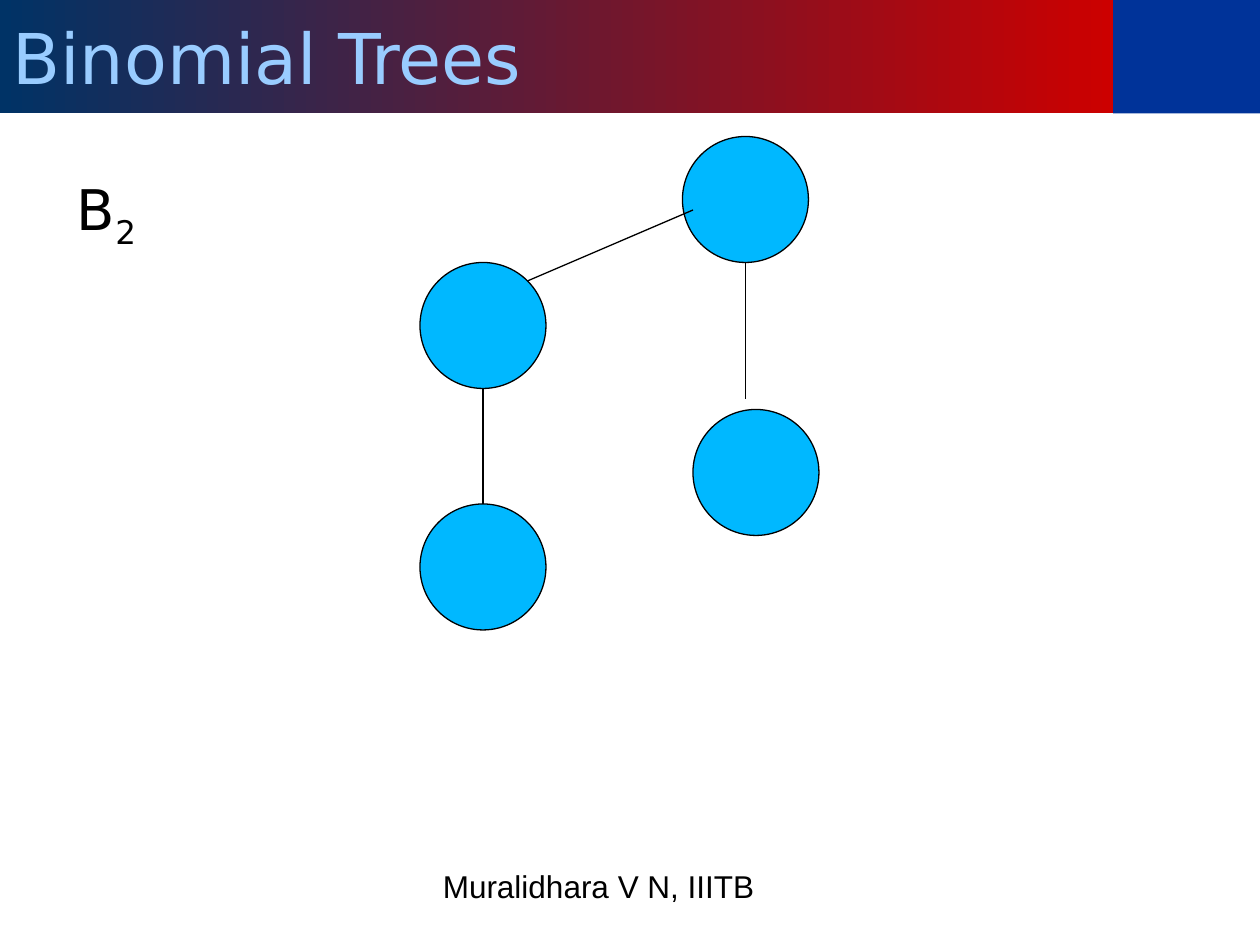
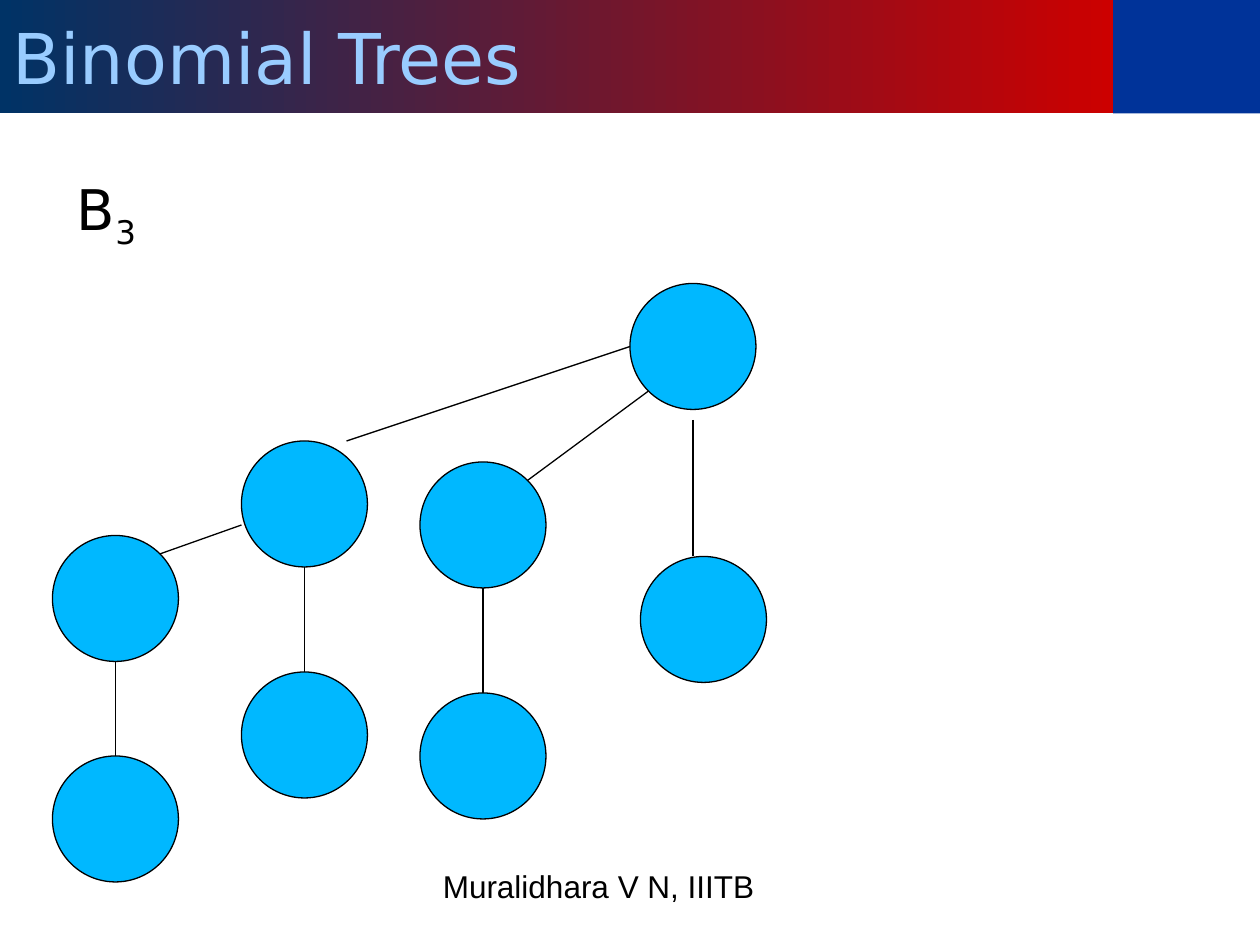
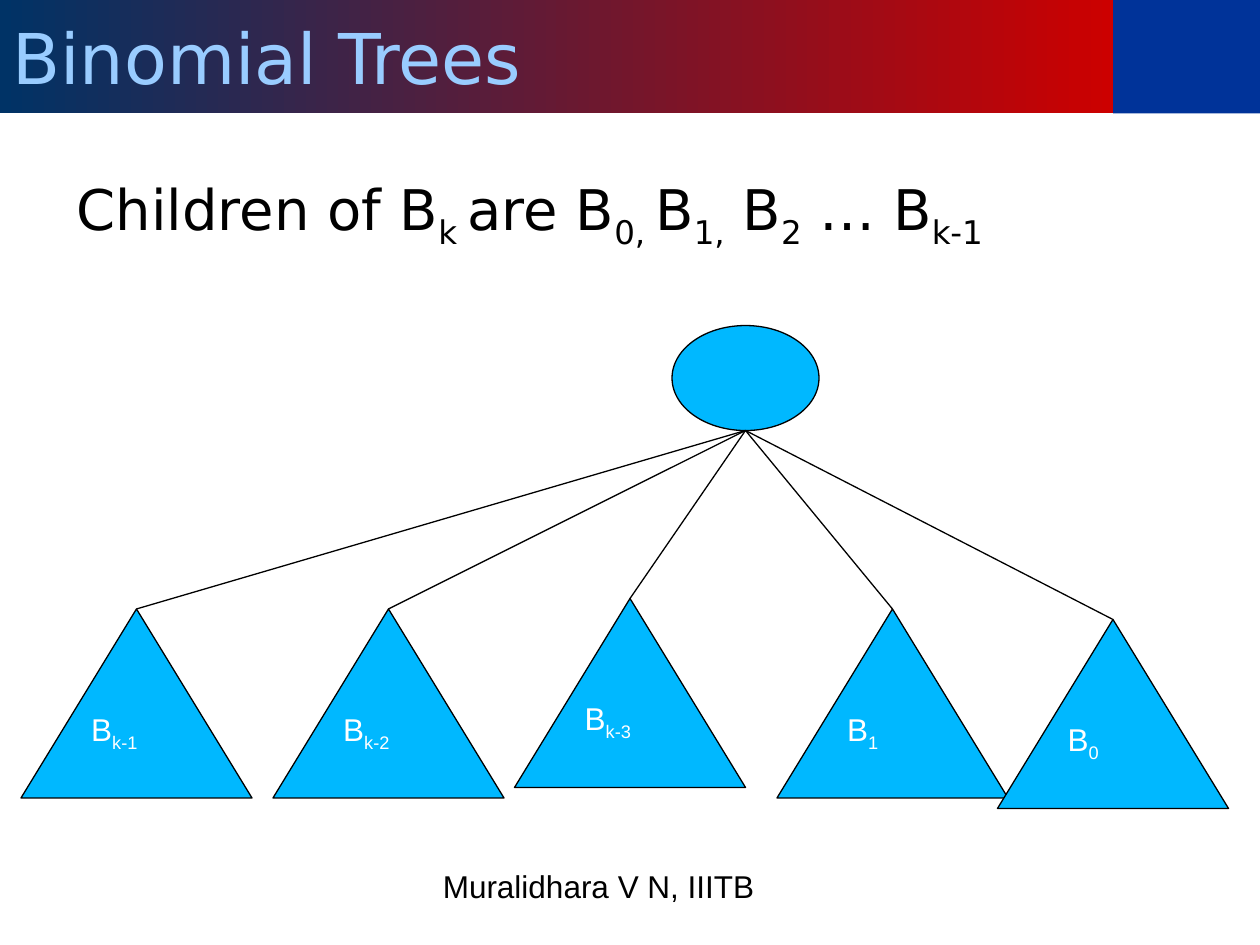
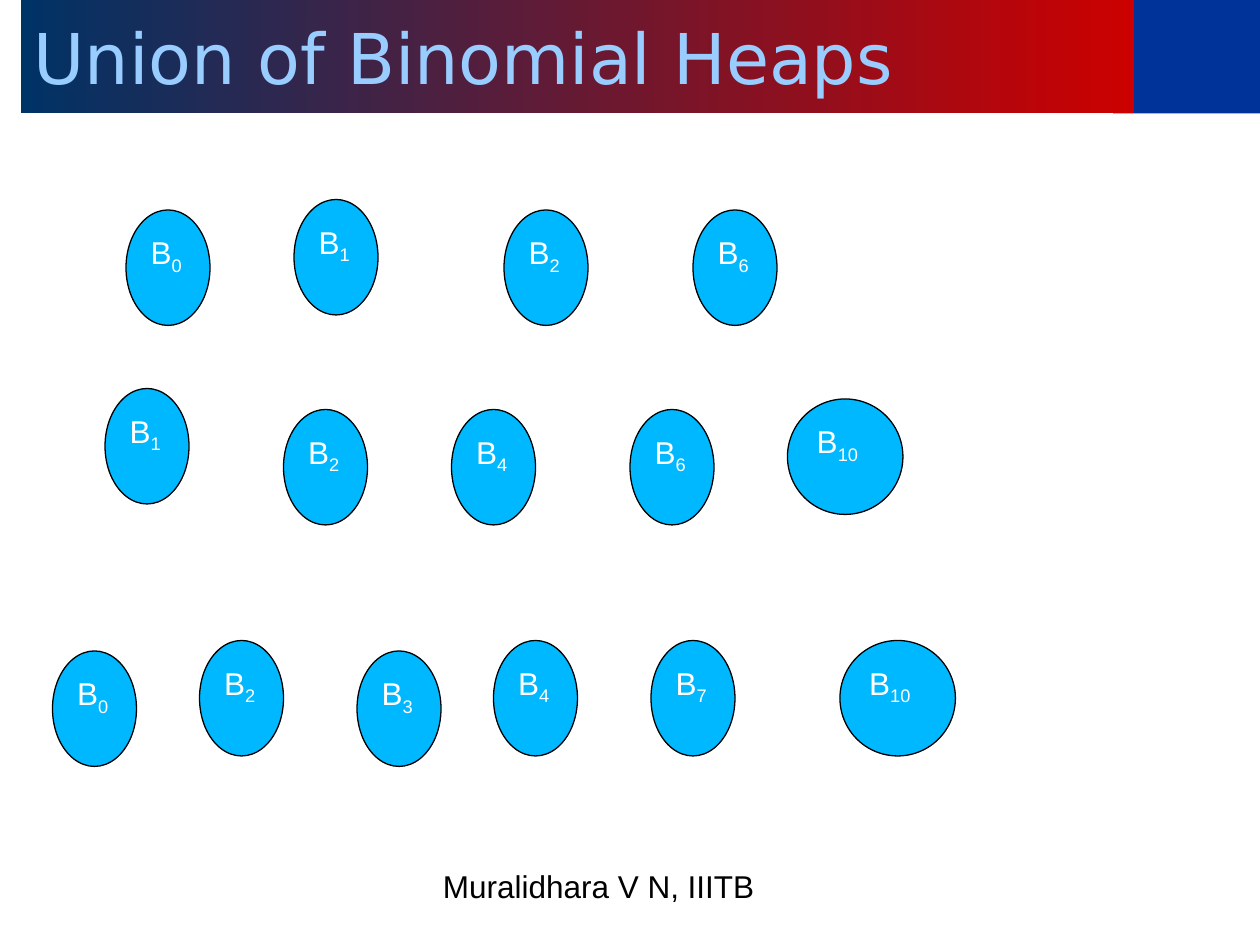
from dataclasses import dataclass
from lxml import etree
from pptx import Presentation
from pptx import util as u
from pptx.dml import color
from pptx.enum import shapes, text
from pptx.oxml import ns


@dataclass(frozen=True)
class Theme:
    corner: str = "003399"
    band_right: str = "CC0000"
    band_left: str = "003366"
    title: str = "99CCFF"
    ink: str = "000000"
    node: str = "00B8FF"
    label: str = "FFFFFF"
    heading_font: str = "DejaVu Sans"
    plain_font: str = "Arial"
    title_size: int = 40
    body_size: int = 32
    small_size: int = 18
    line_width: float = 0.75


theme = Theme()
rgb = color.RGBColor.from_string
OVAL = shapes.MSO_SHAPE.OVAL
TRIANGLE = shapes.MSO_SHAPE.ISOSCELES_TRIANGLE

prs = Presentation()
prs.slide_width, prs.slide_height = u.Inches(10), u.Inches(7.5)
COLUMNS = 120
cell = prs.slide_width / COLUMNS


def grid(*cells):
    return [round(n * cell) for n in cells]


def write(paragraph, parts, font, size, ink):
    for index, part in enumerate(parts):
        run = paragraph.add_run()
        run.text = part
        run.font.name = font
        run.font.size = u.Pt(size)
        run.font.color.rgb = rgb(ink)
        if index % 2:
            run.font._element.set("baseline", "-25000")


LINE_OF_CHILDREN = ["Children of B", "k ", "are B", "0, ", "B", "1,", " B", "2", " … B", "k-1 "]

pages = [
    dict(
        title="Binomial Trees", title_column=0, body=["B", "2"],
        nodes=[(OVAL, col, row, 12, 12, None)
               for col, row in [(40, 25), (40, 48), (65, 13), (66, 39)]],
        edges=[(46, 37, 46, 48), (71, 25, 71, 38), (50.25, 26.75, 66, 20)],
    ),
    dict(
        title="Binomial Trees", title_column=0, body=["B", "3"],
        nodes=[(OVAL, col, row, 12, 12, None)
               for col, row in [(40, 44), (40, 66), (60, 27), (61, 53),
                                (23, 42), (23, 64), (5, 51), (5, 72)]],
        edges=[(46, 56, 46, 66), (66, 40, 66, 53), (50.25, 45.75, 61.75, 37.25),
               (33, 42, 60, 33), (29, 54, 29, 64), (11, 63, 11, 72),
               (15.25, 52.75, 23, 50)],
    ),
    dict(
        title="Binomial Trees", title_column=0, body=LINE_OF_CHILDREN,
        nodes=[(TRIANGLE, col, row, 22, 18, order)
               for col, row, order in [(26, 58, "k-2"), (49, 57, "k-3"), (2, 58, "k-1"),
                                       (74, 58, "1"), (95, 59, "0")]]
        + [(OVAL, 64, 31, 14, 10, None)],
        edges=[(col, row, 71, 41)
               for col, row in [(13, 58), (37, 58), (60, 57), (85, 58), (106, 59)]],
    ),
    dict(
        title="Union of Binomial Heaps", title_column=2, body=None,
        nodes=[(OVAL, col, row, 11 if order == "10" else 8, 11, order)
               for col, row, order in [
                   (12, 20, "0"), (28, 19, "1"), (48, 20, "2"), (66, 20, "6"),
                   (10, 37, "1"), (27, 39, "2"), (43, 39, "4"), (60, 39, "6"), (75, 38, "10"),
                   (5, 62, "0"), (19, 61, "2"), (34, 62, "3"), (47, 61, "4"),
                   (62, 61, "7"), (80, 61, "10")]],
        edges=[],
    ),
]

for page in pages:
    layout = prs.slide_layouts[1 if page["body"] else 5]
    slide = prs.slides.add_slide(layout)

    title = slide.shapes.title
    title.left, title.top, title.width, title.height = grid(page["title_column"], 0, 106, 10.8)
    title.fill.gradient()
    title.fill.gradient_angle = 180
    for stop, shade in zip(title.fill.gradient_stops, (theme.band_right, theme.band_left)):
        stop.color.rgb = rgb(shade)
        stop.position = 0 if shade == theme.band_right else 1
    title.text_frame.auto_size = text.MSO_AUTO_SIZE.NONE
    title.text_frame.vertical_anchor = text.MSO_ANCHOR.MIDDLE
    heading = title.text_frame.paragraphs[0]
    heading.alignment = text.PP_ALIGN.LEFT
    write(heading, [page["title"]], theme.heading_font, theme.title_size, theme.title)

    if page["body"]:
        body = slide.placeholders[1]
        body.left, body.top, body.width, body.height = grid(6, 16, 108, 64.4)
        body.text_frame.auto_size = text.MSO_AUTO_SIZE.NONE
        statement = body.text_frame.paragraphs[0]
        statement.alignment = text.PP_ALIGN.JUSTIFY
        statement.space_before = u.Pt(8)
        settings = statement._p.get_or_add_pPr()
        settings.set("marL", str(u.Inches(0.38)))
        settings.set("indent", str(u.Inches(-0.37)))
        etree.SubElement(settings, ns.qn("a:buNone"))
        write(statement, page["body"], theme.heading_font, theme.body_size, theme.ink)

    footer = slide.shapes.add_textbox(*grid(41, 82, 59 if page["body"] else 38, 6.25))
    footer.text_frame.word_wrap = True
    write(footer.text_frame.paragraphs[0], ["Muralidhara V N, IIITB"],
          theme.plain_font, theme.small_size, theme.ink)

    peaks = {}
    for kind, col, row, width, height, order in page["nodes"]:
        node = slide.shapes.add_shape(kind, *grid(col, row, width, height))
        node.shadow.inherit = False
        node.fill.solid()
        node.fill.fore_color.rgb = rgb(theme.node)
        node.line.color.rgb = rgb(theme.ink)
        node.line.width = u.Pt(theme.line_width)
        if kind == TRIANGLE:
            peaks[col + width / 2, row] = node
        if order:
            node.text_frame.vertical_anchor = text.MSO_ANCHOR.TOP
            label = node.text_frame.paragraphs[0]
            label.alignment = text.PP_ALIGN.LEFT
            write(label, ["B", order], theme.plain_font, theme.small_size, theme.label)

    for edge in page["edges"]:
        branch = slide.shapes.add_connector(shapes.MSO_CONNECTOR.STRAIGHT, *grid(*edge))
        branch.line.color.rgb = rgb(theme.ink)
        branch.line.width = u.Pt(theme.line_width)
        etree.SubElement(branch._element.spPr, ns.qn("a:effectLst"))
        if edge[:2] in peaks:
            branch.begin_connect(peaks[edge[:2]], 0)

corner = prs.slides[0].shapes.add_shape(shapes.MSO_SHAPE.RECTANGLE, *grid(106, 0, 14, 10.8))
corner.shadow.inherit = False
corner.fill.solid()
corner.fill.fore_color.rgb = rgb(theme.corner)
corner.line.fill.background()
prs.slide_master.shapes._spTree.append(corner._element)

prs.save("out.pptx")
